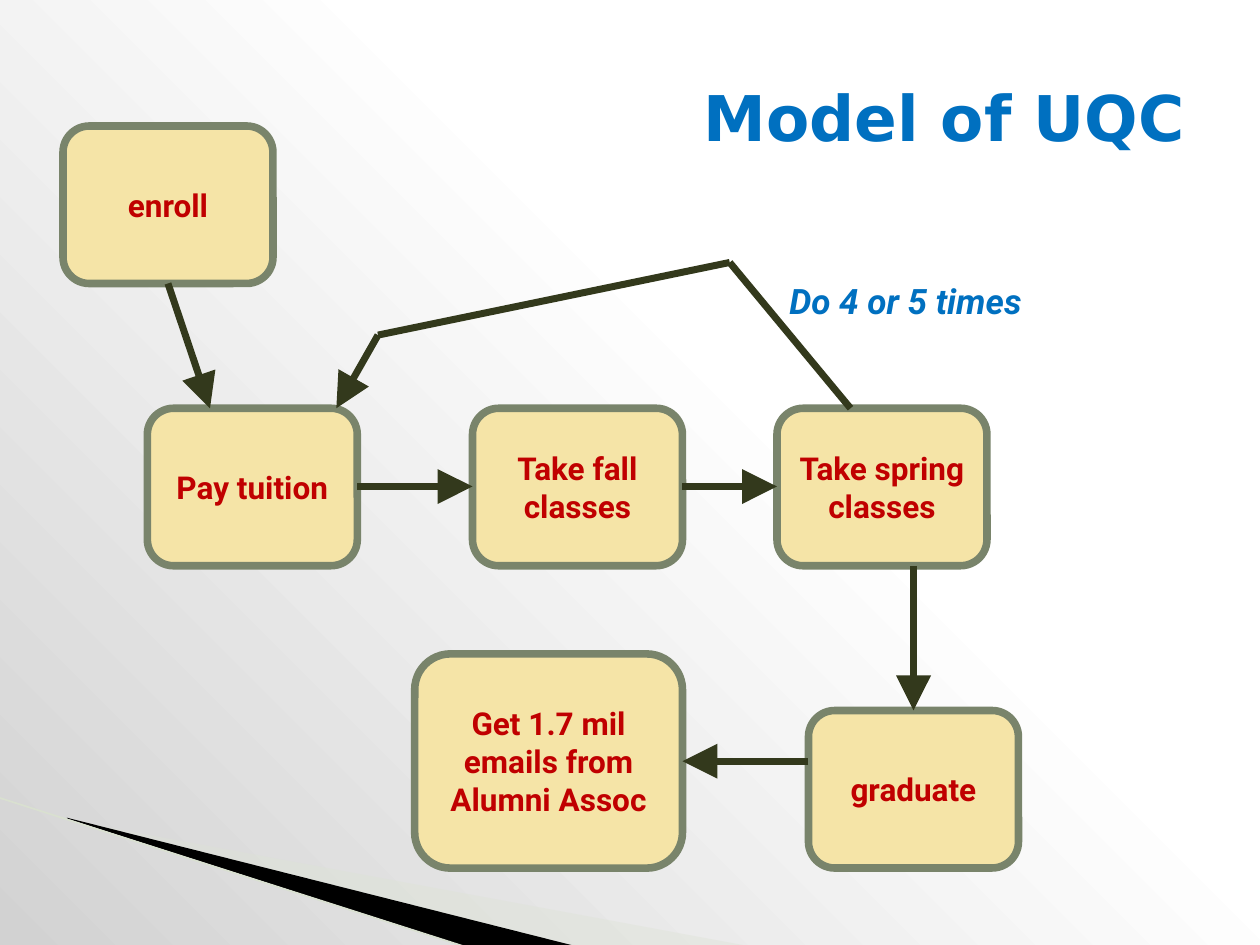
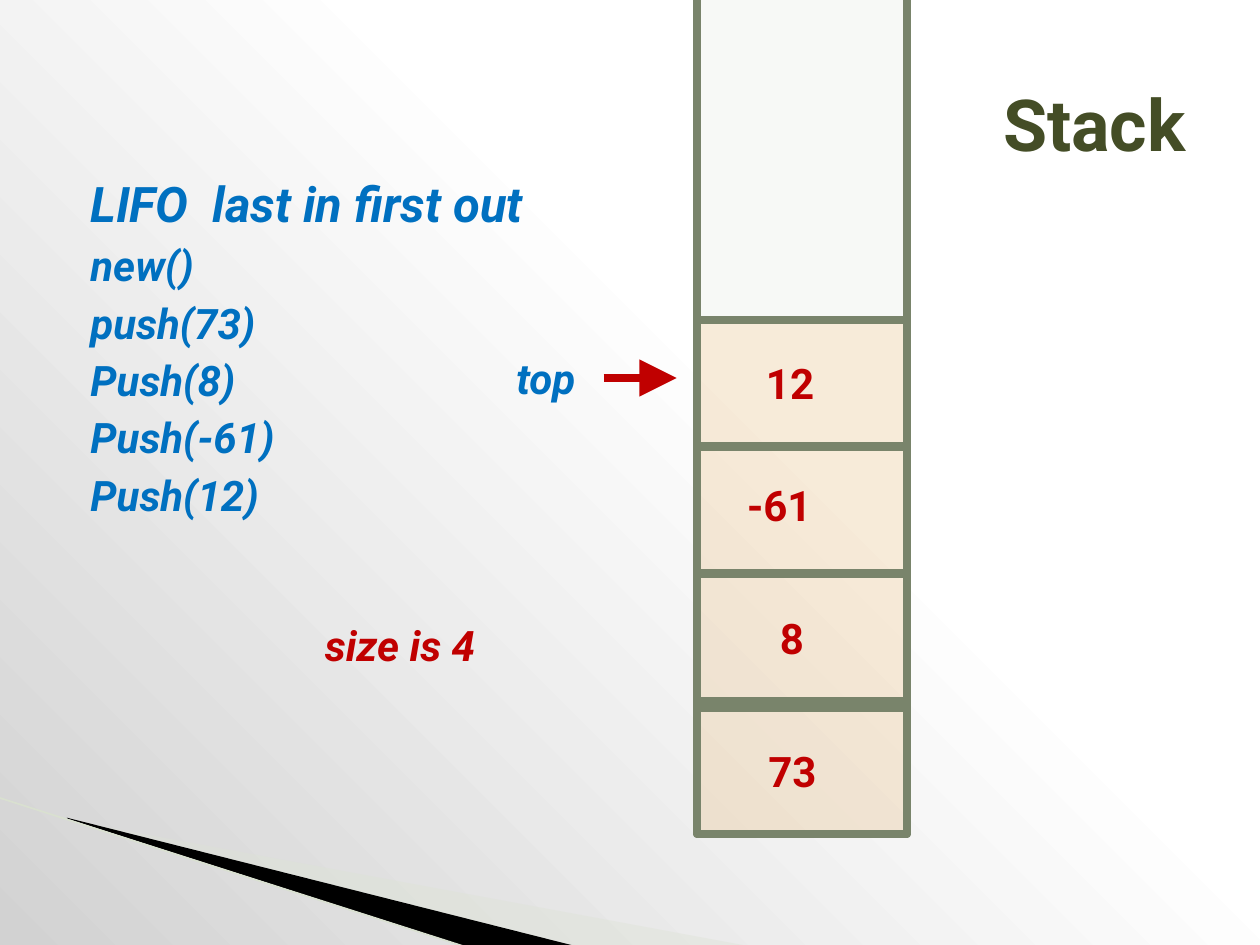
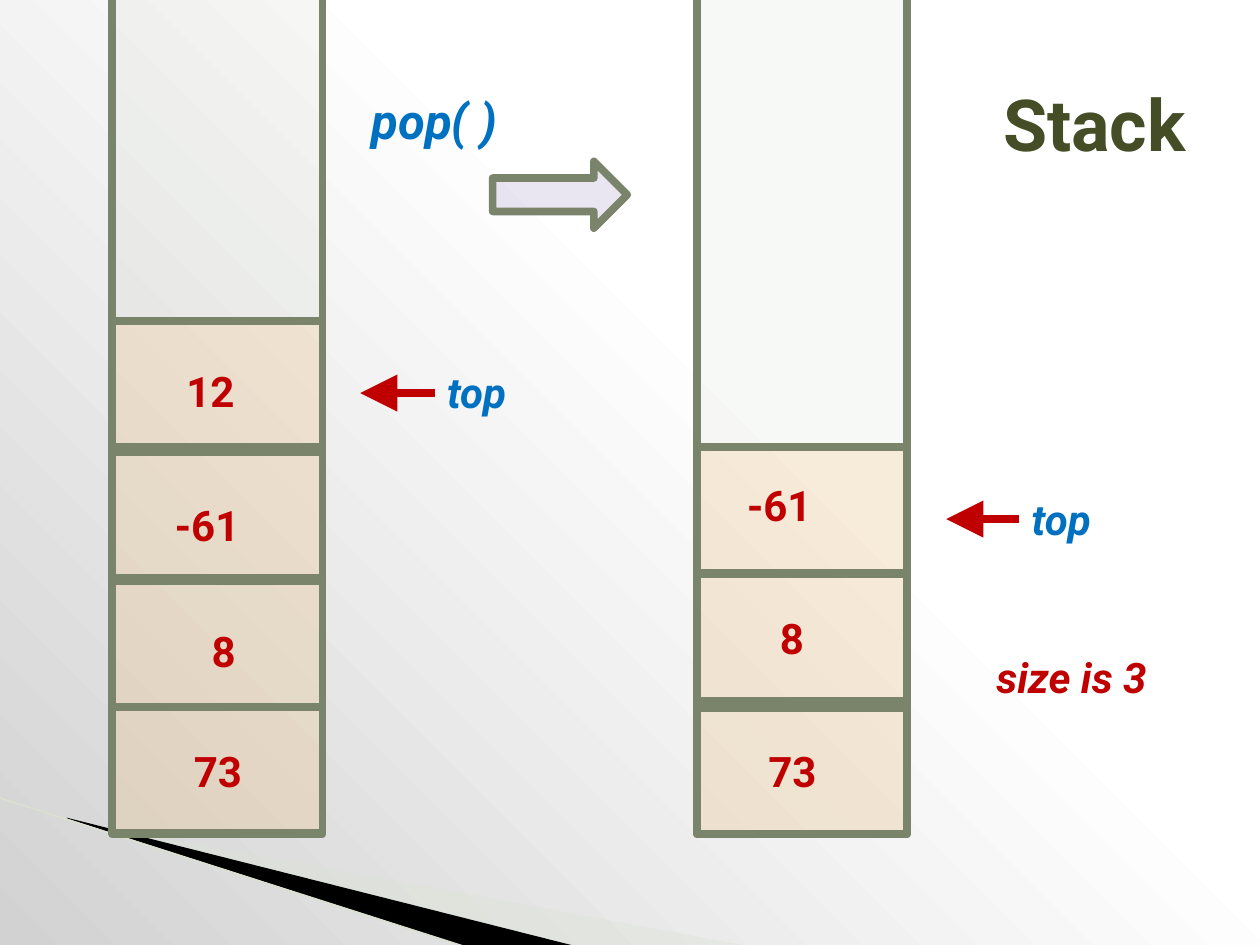
from lxml import etree
from pptx import Presentation
from pptx import util as u
from pptx.dml.color import RGBColor
from pptx.enum import shapes, text
from pptx.oxml import ns, parse_xml

HUES = {
    "white": "FFFFFF", "grey": "D2D2D2", "black": "000000",
    "mist": "DDE3D5", "rim": "D9E0D0", "sage": "79846B",
    "sand": "F5E4A7", "peach": "F8C78E", "leaf": "A5B592", "lilac": "C2B5D8",
    "red": "C00000", "blue": "0070C0", "dark": "33391C", "olive": "444D26",
}
KIND = shapes.MSO_SHAPE
SIDE = text.PP_ALIGN
CELL = (120.2, 72)


def paint(shape, fill, alpha=100, edge=True):
    shape.shadow.inherit = False
    shape.fill.solid()
    shape.fill.fore_color.rgb = RGBColor.from_string(HUES[fill])
    if alpha < 100:
        tint = shape._element.spPr.find(".//" + ns.qn("a:srgbClr"))
        etree.SubElement(tint, ns.qn("a:alpha"), val=str(alpha * 1000))
    if edge:
        shape.line.color.rgb = RGBColor.from_string(HUES["sage"])
        shape.line.width = u.Pt(4.33)
    else:
        shape.line.fill.background()


def write(shape, rows, size, hue, slant=False, side=SIDE.LEFT, font="Roboto"):
    frame = shape.text_frame
    frame.word_wrap = True
    for num, row in enumerate(rows):
        para = frame.add_paragraph() if num else frame.paragraphs[0]
        para.alignment = side
        para.space_before = u.Pt(4 if num else 0)
        run = para.add_run()
        run.text = row
        run.font.name = font
        run.font.size = u.Pt(24 if num else size)
        run.font.bold = True
        run.font.italic = slant
        run.font.color.rgb = RGBColor.from_string(HUES[hue])


deck = Presentation()
deck.slide_width, deck.slide_height = u.Pt(720), u.Pt(540)

# Shared background: white at top right, grey at bottom left
deck.slide_master.background.fill.solid()
base = deck.slide_master._element.cSld.bg.bgPr
stops = "".join(
    f'<a:gs pos="{pos * 1000}"><a:srgbClr val="{HUES[hue]}"/></a:gs>'
    for pos, hue in [(0, "white"), (40, "white"), (100, "grey")])
base.replace(base[0], parse_xml(
    f'<a:gradFill {ns.nsdecls("a")} rotWithShape="1"><a:gsLst>{stops}</a:gsLst>'
    '<a:path path="circle"><a:fillToRect l="100000" b="100000"/></a:path>'
    '</a:gradFill>'))

# Slides with corner wedges and titles
wedges = [
    ("mist", 40, [(39.6, 468.7), (428.4, 540.7), (328.3, 540.7), (39.6, 468)]),
    ("black", 100, [(38.2, 467.3), (329, 540.7), (267.8, 541.4), (38.9, 468)]),
]
titles = [
    ("Model of UQC", 36, 21.6, 36, "blue", "DejaVu Sans"),
    ("Stack", 36.7, 25.2, 41, "olive", "Roboto"),
    ("Stack", 36.7, 25.2, 41, "olive", "Roboto"),
]
pages = []
for name, left, top, size, hue, font in titles:
    page = deck.slides.add_slide(deck.slide_layouts[6]).shapes
    pages.append(page)
    for fill, alpha, dots in wedges:
        dots = [(u.Pt(x), u.Pt(y)) for x, y in dots]
        pen = page.build_freeform(*dots[0], scale=1.0)
        pen.add_line_segments(dots[1:], close=True)
        paint(pen.convert_to_shape(), fill, alpha, edge=False)
    box = page.add_textbox(u.Pt(left), u.Pt(top), u.Pt(648), u.Pt(90))
    box.text_frame.vertical_anchor = text.MSO_ANCHOR.MIDDLE
    write(box, [name], size, hue, side=SIDE.RIGHT, font=font)
model, push, pop = pages

# Steps of the model
steps = [
    ("enroll", 36, 72, 120, 90),
    ("graduate", 462, 406, 120, 90),
    ("Pay tuition", 84.2, 233.3, 120, 90),
    ("Take fall classes", 270, 233.3, 120, 90),
    ("Take spring classes", 444, 233.3, 120, 90),
    ("Get 1.7 mil emails from Alumni Assoc", 237, 373.7, 153, 122.4),
]
for name, *at in steps:
    step = model.add_shape(KIND.ROUNDED_RECTANGLE, *map(u.Pt, at))
    paint(step, "sand")
    write(step, [name], 18, "red", side=SIDE.CENTER)

# Lines and arrows
rim = (-0.7, 455.8, 267.1, 541.4)
lines = [(page, rim, "rim", 0.95, False) for page in pages]
lines += [(model, at, "dark", 4, head) for at, head in [
    ((96, 162, 120, 233.3), True),
    ((522, 323.3, 522, 406), True),
    ((390, 278, 444, 278), True),
    ((204.2, 278, 270, 278), True),
    ((486, 233.3, 417, 150), False),
    ((417, 150, 216, 191.5), False),
    ((216, 191.5, 192.2, 233.3), True),
    ((462, 435, 390, 435), True),
]]
lines += [(page, at, "red", 4.25, True) for page, at in [
    (push, (344.9, 216, 386.6, 216)),
    (pop, (582.5, 296.6, 540.7, 296.6)),
    (pop, (248.4, 224.6, 205.9, 224.6)),
]]
for page, at, hue, wide, head in lines:
    line = page.add_connector(shapes.MSO_CONNECTOR.STRAIGHT, *map(u.Pt, at))
    line.line.color.rgb = RGBColor.from_string(HUES[hue])
    line.line.width = u.Pt(wide)
    frame = line._element.spPr
    if head:
        etree.SubElement(frame.find(ns.qn("a:ln")), ns.qn("a:tailEnd"),
                         type="triangle", w="lg", len="lg")
    etree.SubElement(frame, ns.qn("a:effectLst"))

# Stacks: value, cell top, then left and top of the value
right = [
    ("73", 404.6, 432, 422.6),
    ("8", 328.3, 438.5, 346.3),
    ("-61", 255.6, 419.8, 270.7),
    ("12", 182.9, 430.6, 200.9),
]
full = [
    ("73", 403.9, 103.7, 422.6),
    ("8", 331.9, 113.8, 354.2),
    ("-61", 258.5, 92.9, 282.2),
    ("12", 183.6, 99.4, 205.2),
]
for page, left, cells in [(push, 398.2, right), (pop, 398.2, right[:3]), (pop, 64.1, full)]:
    tube = page.add_shape(KIND.RECTANGLE, u.Pt(left), u.Pt(-30.2), u.Pt(CELL[0]), u.Pt(506.9))
    paint(tube, "leaf", 8)
    for _, top, *_ in cells:
        cell = page.add_shape(KIND.RECTANGLE, u.Pt(left), u.Pt(top), *map(u.Pt, CELL))
        paint(cell, "peach", 28)
    for value, _, x, y in cells:
        box = page.add_textbox(u.Pt(x), u.Pt(y), u.Pt(60 if value == "-61" else 54), u.Pt(36))
        write(box, [value], 24, "red")

# Block arrow from the full stack to the popped one
block = pop.add_shape(KIND.RIGHT_ARROW, u.Pt(281.5), u.Pt(92.2), u.Pt(77), u.Pt(38.2))
paint(block, "lilac", 35)

# Calls, set in a little from the left
calls = [
    (push, (36.7, 95.8, 648, 375.8),
     ["LIFO  last in first out", "new()", "push(73)", "Push(8)", "Push(-61)", "Push(12)"]),
    (pop, (197.3, 48.2, 482.4, 421.9), ["pop( )"]),
]
for page, at, rows in calls:
    box = page.add_textbox(*map(u.Pt, at))
    box.text_frame.margin_left = u.Pt(15)
    write(box, rows, 28, "blue", slant=True)

# Notes beside the drawings
notes = [
    (model, "Do 4 or 5 times", 444, 156.2, 186, 20, "blue"),
    (push, "top", 288, 198, 67, 24, "blue"),
    (push, "size is 4", 178.6, 350.6, 142.6, 24, "red"),
    (pop, "top", 582.5, 278.6, 67, 24, "blue"),
    (pop, "top", 248.4, 205.9, 67, 24, "blue"),
    (pop, "size is 3", 562.3, 368.6, 142.6, 24, "red"),
]
for page, name, left, top, wide, size, hue in notes:
    box = page.add_textbox(u.Pt(left), u.Pt(top), u.Pt(wide), u.Pt(size * 1.5))
    write(box, [name], size, hue, slant=True)

deck.save("out.pptx")
